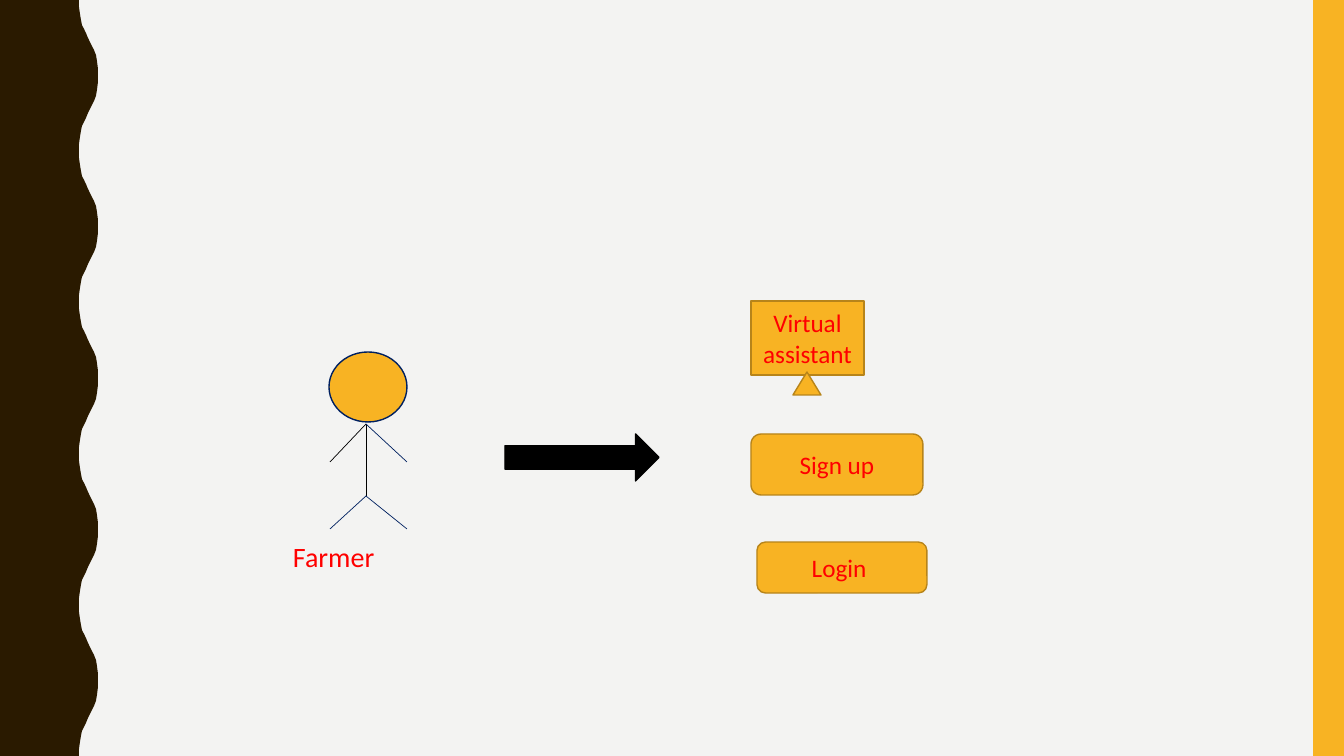
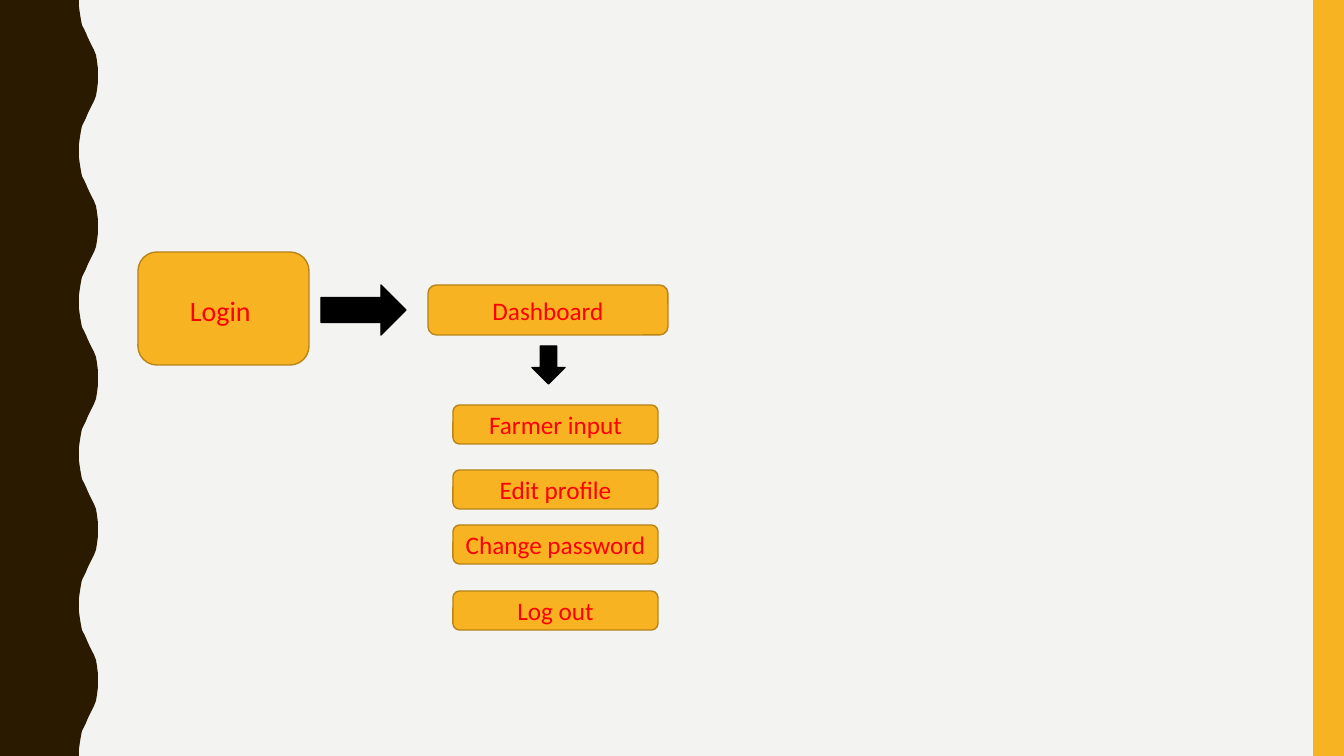
from lxml import etree
from pptx import Presentation
from pptx.dml.color import RGBColor
from pptx.enum.shapes import MSO_CONNECTOR, MSO_SHAPE
from pptx.enum.text import MSO_ANCHOR, PP_ALIGN
from pptx.oxml.ns import qn
from pptx.util import Pt

RECT, ROUND = MSO_SHAPE.RECTANGLE, MSO_SHAPE.ROUNDED_RECTANGLE
OVAL, PEAK = MSO_SHAPE.OVAL, MSO_SHAPE.ISOSCELES_TRIANGLE
RIGHT, DOWN = MSO_SHAPE.RIGHT_ARROW, MSO_SHAPE.DOWN_ARROW
LINE = MSO_CONNECTOR.STRAIGHT
CENTER, LEFT = PP_ALIGN.CENTER, PP_ALIGN.LEFT
MIDDLE = MSO_ANCHOR.MIDDLE

SCALE = 914400 / 100.8
WIDE, HIGH = 1344, 756
PAPER, BROWN, GOLD, EDGE = "F3F3F2", "2A1A00", "F8B323", "B7841A"
NAVY, BLACK, RED = "002060", "000000", "FF0000"
FONT = "Calibri"

WAVES = 5
CURVE = [(79, 0), (79, 7), (80, 14), (81, 20), (82, 25), (84, 29), (86, 33),
         (88, 38), (90, 42), (92, 46), (94, 50), (96, 55), (97, 61), (98, 69)]

NECK, HIP = (366, 424), (366, 496)
LIMBS = [
    (NECK, HIP, BLACK),
    (NECK, (330, 462), BLACK),
    (NECK, (407, 462), NAVY),
    (HIP, (330, 529), NAVY),
    (HIP, (407, 529), NAVY),
]
FARMER = ("Farmer", (293, 538, 120, 36))
ENTRY = [
    (RECT, (751, 301, 113, 74), "Virtual assistant"),
    (PEAK, (793, 372, 28, 23), ""),
    (ROUND, (751, 434, 172, 61), "Sign up"),
    (ROUND, (757, 542, 170, 51), "Login "),
]
LOGIN = ("Login ", (138, 252, 171, 113))
BOARD = ("Dashboard", (428, 285, 240, 50))
MENU = [("Farmer input", 405), ("Edit profile", 470),
        ("Change password", 525), ("Log out", 591)]


def px(*nums):
    return [round(n * SCALE) for n in nums]


def paint(part, color):
    part.solid()
    part.fore_color.rgb = RGBColor.from_string(color)


def style(shape, fill, edge=None):
    shape.shadow.inherit = False
    paint(shape.fill, fill)
    if edge:
        paint(shape.line.fill, edge)
        shape.line.width = Pt(1)
    else:
        shape.line.fill.background()


def write(shape, text, size=18, align=CENTER):
    frame = shape.text_frame
    frame.word_wrap = True
    frame.vertical_anchor = MIDDLE
    frame.text = text
    para = frame.paragraphs[0]
    para.alignment = align
    font = para.runs[0].font
    font.name, font.size = FONT, Pt(size)
    font.color.rgb = RGBColor.from_string(RED)
    return para


def add(slide, kind, box, fill=GOLD, edge=EDGE):
    shape = slide.shapes.add_shape(kind, *px(*box))
    style(shape, fill, edge)
    return shape


def join(slide, start, end, color):
    line = slide.shapes.add_connector(LINE, *px(*start, *end))
    paint(line.line.fill, color)
    line.line.width = Pt(0.5)
    etree.SubElement(line._element.spPr, qn("a:effectLst"))


def border(slide):
    step = HIGH / WAVES
    points = []
    for i in range(WAVES):
        top = i * step
        points += [(x, round(top + y)) for x, y in CURVE]
        points.append((98, round(top + step / 2)))
        points += [(x, round(top + step - y)) for x, y in reversed(CURVE)]
    pen = slide.shapes.build_freeform(0, 0, scale=SCALE)
    pen.add_line_segments(points + [(0, HIGH)], close=True)
    style(pen.convert_to_shape(), BROWN)
    add(slide, RECT, (1313, 0, 31, HIGH), edge=None)


prs = Presentation()
prs.slide_width, prs.slide_height = px(WIDE, HIGH)
paint(prs.slide_master.background.fill, PAPER)
blank = prs.slide_layouts[6]


def page():
    slide = prs.slides.add_slide(blank)
    border(slide)
    return slide


first = page()
text, box = FARMER
label = first.shapes.add_textbox(*px(*box))
write(label, text, 20, LEFT)
frame = label.text_frame
frame.margin_left = frame.margin_right = 0
frame.margin_top = frame.margin_bottom = 0
add(first, OVAL, (329, 352, 78, 70), edge=NAVY)
for start, end, color in LIMBS:
    join(first, start, end, color)
add(first, RIGHT, (505, 434, 154, 47), BLACK, BLACK)
for kind, box, text in ENTRY:
    shape = add(first, kind, box)
    if text:
        write(shape, text)

second = page()
text, box = LOGIN
para = write(add(second, ROUND, box), text, 20)
para.line_spacing, para.space_before = 1.1, Pt(7)
add(second, RIGHT, (321, 285, 85, 50), BLACK, BLACK)
text, box = BOARD
write(add(second, ROUND, box), text)
add(second, DOWN, (532, 346, 33, 38), BLACK, BLACK)
for text, top in MENU:
    write(add(second, ROUND, (453, top, 205, 39)), text)

prs.save("out.pptx")
